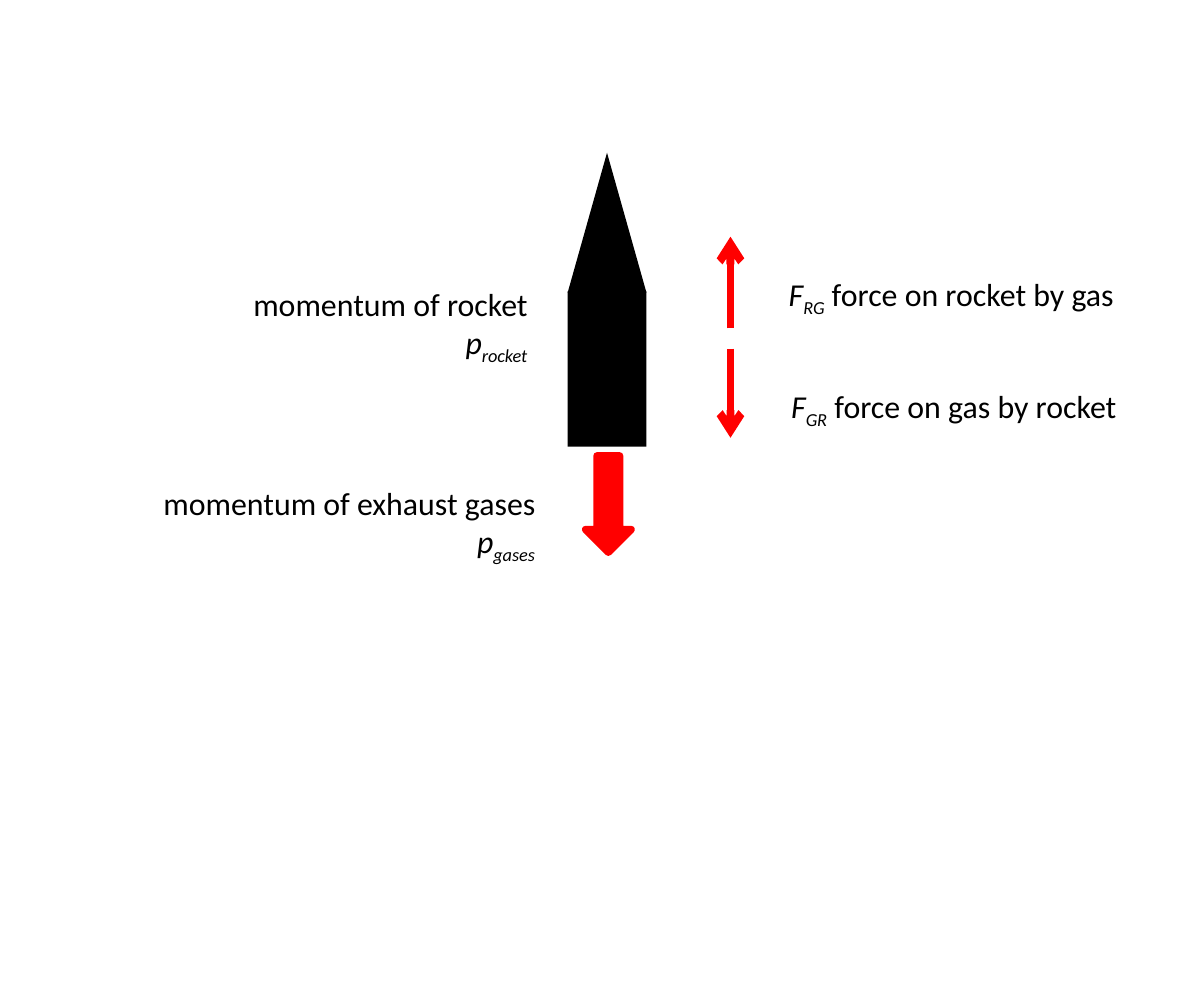
from lxml.etree import SubElement
from pptx import Presentation
from pptx.dml.color import RGBColor
from pptx.enum.shapes import MSO_CONNECTOR, MSO_SHAPE
from pptx.enum.text import PP_ALIGN
from pptx.oxml.ns import qn
from pptx.util import Inches, Pt

COLORS = {"ink": "000000", "force": "FF0000"}


class Diagram:
    """Draws styled elements on the current slide."""

    text_format = {"name": "Calibri", "size": Pt(9)}

    def __init__(self, slide):
        self.slide = slide

    def color(self, name):
        return RGBColor.from_string(COLORS[name])

    def solid(self, kind, box, color, line_width=0):
        part = self.slide.shapes.add_shape(kind, *map(Inches, box))
        part.shadow.inherit = False
        part.fill.solid()
        part.fill.fore_color.rgb = self.color(color)
        if line_width:
            part.line.color.rgb = self.color(color)
            part.line.width = Pt(line_width)
        else:
            part.line.fill.background()

    def arrow(self, x, start, end):
        force = self.slide.shapes.add_connector(
            MSO_CONNECTOR.STRAIGHT, *map(Inches, (x, start, x, end)))
        force.line.color.rgb = self.color("force")
        force.line.width = Pt(2.25)
        SubElement(force.line._get_or_add_ln(), qn("a:tailEnd"), type="arrow")
        SubElement(force._element.spPr, qn("a:effectLst"))

    def label(self, box, lines, align):
        frame = self.slide.shapes.add_textbox(*map(Inches, box)).text_frame
        frame.word_wrap = True
        for number, pieces in enumerate(lines):
            line = frame.add_paragraph() if number else frame.paragraphs[0]
            line.alignment = align
            for text, style in pieces:
                self.piece(line, text, style)

    def piece(self, line, text, style):
        run = line.add_run()
        run.text = text
        run.font.color.rgb = self.color("ink")
        formats = {**self.text_format, "italic": style != "plain"}
        for attribute, value in formats.items():
            setattr(run.font, attribute, value)
        if style == "subscript":
            run.font._element.set("baseline", "-25000")


def symbol(letter, index):
    return [(letter, "symbol"), (index, "subscript")]


deck = Presentation()
deck.slide_width, deck.slide_height = Inches(4.73), Inches(3.94)
diagram = Diagram(deck.slides.add_slide(deck.slide_layouts[6]))

diagram.solid(MSO_SHAPE.ISOSCELES_TRIANGLE, (2.23, 0.6, 0.31, 0.55), "ink")
diagram.solid(MSO_SHAPE.RECTANGLE, (2.23, 1.145, 0.31, 0.61), "ink")
diagram.solid(MSO_SHAPE.DOWN_ARROW, (2.3, 1.79, 0.18, 0.38), "force", 2)

for right, top, body, index in (
        (2.17, 1.07, "rocket", "rocket"),
        (2.2, 1.85, "exhaust gases", "gases")):
    momentum = [[(f"momentum of {body}", "plain")], symbol("p", index)]
    diagram.label((right - 1.68, top, 1.68, 0.4), momentum, PP_ALIGN.RIGHT)

for start, end, left, top, index, target, source in (
        (1.29, 0.93, 3, 1.03, "RG", "rocket", "gas"),
        (1.37, 1.72, 3.01, 1.47, "GR", "gas", "rocket")):
    diagram.arrow(2.87, start, end)
    meaning = (f" force on {target} by {source}", "plain")
    diagram.label((left, top, 1.59, 0.25),
                  [symbol("F", index) + [meaning]], PP_ALIGN.LEFT)

deck.save("out.pptx")
